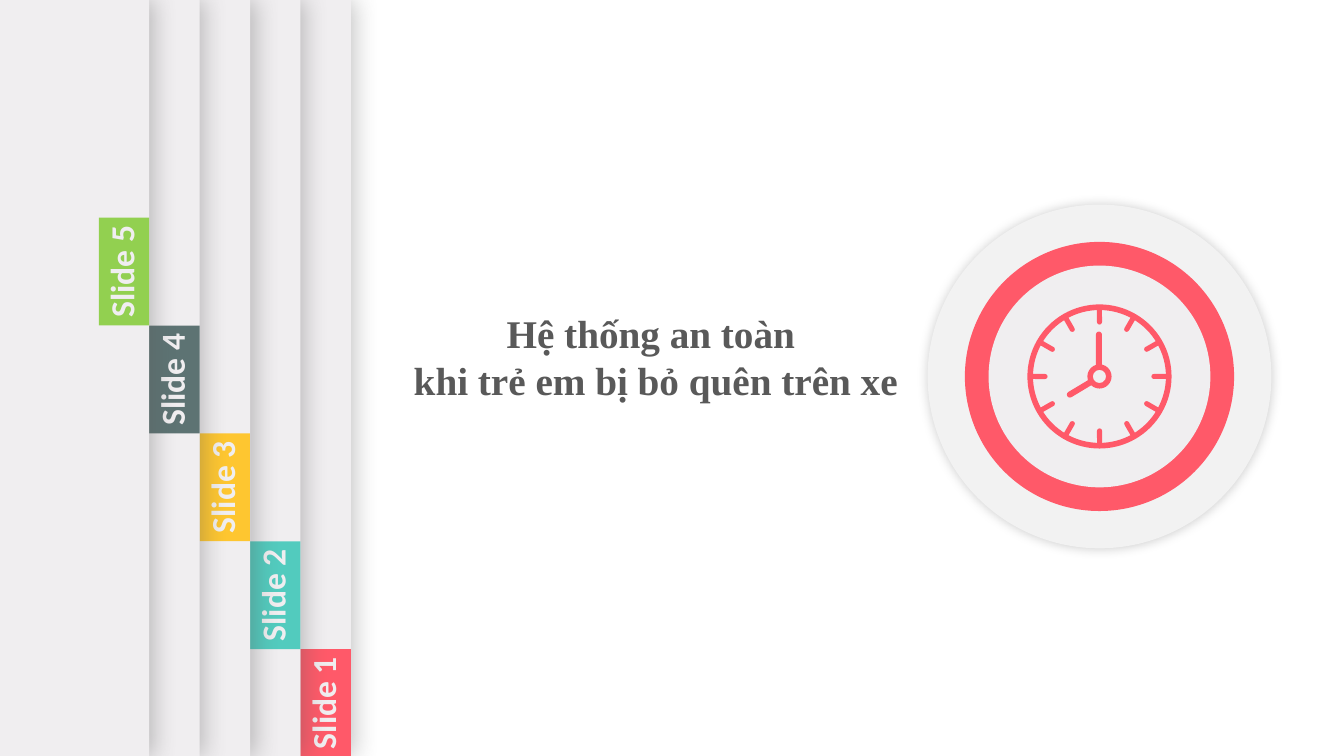
from dataclasses import dataclass
from math import cos, radians, sin

from lxml.etree import SubElement
from pptx import Presentation
from pptx.dml.color import RGBColor
from pptx.enum.shapes import MSO_SHAPE as Shape
from pptx.enum.text import MSO_ANCHOR as Anchor, PP_ALIGN as Align
from pptx.oxml.ns import qn
from pptx.util import Emu, Pt

EMU_PER_PX = 9144  # 100 px to the inch


@dataclass(frozen=True)
class Theme:
    paper: str = "F0EEF0"
    plate: str = "F2F2F2"
    accent: str = "FF5969"
    title: str = "595959"
    title_font: str = "Times New Roman"
    label_font: str = "Calibri"
    title_pt: int = 28
    label_pt: int = 24


@dataclass(frozen=True)
class Box:
    left: float
    top: float
    width: float
    height: float

    def emu(self) -> list[Emu]:
        return [px(v) for v in (self.left, self.top, self.width, self.height)]


@dataclass(frozen=True)
class Shadow:
    color: str
    alpha: int
    blur: int
    distance: int


@dataclass(frozen=True)
class Part:
    kind: Shape
    box: Box
    color: str
    rotation: float = 0
    adjustments: tuple[float, ...] = ()
    shadow: Shadow | None = None


@dataclass(frozen=True)
class Tab:
    label: str
    color: str


THEME = Theme()
PANEL_SHADOW = Shadow("595959", 35, 17, 3)
PLATE_SHADOW = Shadow("000000", 20, 8, 0)

# Side panels, from front tab to back tab
TABS = [
    Tab("Slide 1", THEME.accent),
    Tab("Slide 2", "52CBBE"),
    Tab("Slide 3", "FEC630"),
    Tab("Slide 4", "5D7373"),
    Tab("Slide 5", "92D050"),
]
PANEL_W, PANEL_H = 1365, 750
TAB_W, TAB_H = 50, 107
FIRST_RIGHT, FIRST_TOP = 348, 644

# Clock geometry
CLOCK_X, CLOCK_Y = 1090.5, 373.5
TICK_RADIUS, TICK_W, TICK_H = 60, 5, 17


def px(value: float) -> Emu:
    return Emu(round(value * EMU_PER_PX))


def centred(x: float, y: float, width: float, height: float) -> Box:
    return Box(x - width / 2, y - height / 2, width, height)


def draw(shapes, part: Part) -> None:
    sp = shapes.add_shape(part.kind, *part.box.emu())
    sp.fill.solid()
    sp.fill.fore_color.rgb = RGBColor.from_string(part.color)
    sp.line.fill.background()
    sp.rotation = part.rotation
    for i, value in enumerate(part.adjustments):
        sp.adjustments[i] = value
    sp.shadow.inherit = False
    if part.shadow:
        effects = sp._element.spPr.find(qn("a:effectLst"))
        outer = SubElement(effects, qn("a:outerShdw"), blurRad=str(Pt(part.shadow.blur)),
                           dist=str(Pt(part.shadow.distance)), dir="0",
                           algn="ctr", rotWithShape="0")
        clr = SubElement(outer, qn("a:srgbClr"), val=part.shadow.color)
        SubElement(clr, qn("a:alpha"), val=str(part.shadow.alpha * 1000))


def format_text(tf, font: str, size: int, color: str) -> None:
    tf.word_wrap = True
    for p in tf.paragraphs:
        p.alignment = Align.CENTER
        for r in p.runs:
            r.font.name = font
            r.font.size = Pt(size)
            r.font.bold = True
            r.font.color.rgb = RGBColor.from_string(color)


def add_title(slide) -> None:
    title = slide.shapes.title
    title.left, title.top, title.width, title.height = Box(383, 302, 525, 104).emu()
    tf = title.text_frame
    tf.text = "Hệ thống an toàn\v khi trẻ em bị bỏ quên trên xe"
    tf.vertical_anchor = Anchor.TOP
    format_text(tf, THEME.title_font, THEME.title_pt, THEME.title)


def add_badge(shapes) -> None:
    for size, color, shadow in [(341, THEME.plate, PLATE_SHADOW),
                                (267, THEME.accent, None),
                                (220, THEME.paper, None)]:
        box = centred(CLOCK_X, CLOCK_Y, size, size)
        draw(shapes, Part(Shape.OVAL, box, color, shadow=shadow))


def add_clock(shapes) -> None:
    # Hour ticks
    for angle in range(0, 360, 30):
        x = CLOCK_X + TICK_RADIUS * sin(radians(angle))
        y = CLOCK_Y - TICK_RADIUS * cos(radians(angle))
        draw(shapes, Part(Shape.ROUNDED_RECTANGLE, centred(x, y, TICK_W, TICK_H),
                          THEME.accent, angle, (0.5,)))
    # Rim and hub
    for size, thickness in [(143, 0.039), (24, 0.226)]:
        draw(shapes, Part(Shape.DONUT, centred(CLOCK_X, CLOCK_Y, size, size),
                          THEME.accent, 0, (thickness,)))
    # Hands
    for box, angle in [(Box(1068, 371, 6, 29), 239), (Box(1087, 329, 6, 34), 0)]:
        draw(shapes, Part(Shape.ROUND_2_SAME_RECTANGLE, box, THEME.accent, angle, (0.5, 0)))


def add_panel(shapes, tab: Tab, index: int) -> None:
    right = FIRST_RIGHT - index * TAB_W
    top = FIRST_TOP - index * TAB_H
    draw(shapes, Part(Shape.RECTANGLE, Box(right - PANEL_W, 0, PANEL_W, PANEL_H),
                      THEME.paper, shadow=PANEL_SHADOW))
    draw(shapes, Part(Shape.RECTANGLE, Box(right - TAB_W, top, TAB_W, TAB_H), tab.color))
    label_box = centred(right - TAB_W / 2 - 3, top + TAB_H / 2, 119, 50)
    label = shapes.add_textbox(*label_box.emu())
    label.rotation = 270
    label.text_frame.text = tab.label
    format_text(label.text_frame, THEME.label_font, THEME.label_pt, THEME.paper)


def main() -> None:
    prs = Presentation()
    prs.slide_width, prs.slide_height = px(1333), px(750)
    slide = prs.slides.add_slide(prs.slide_layouts[5])
    add_title(slide)
    add_badge(slide.shapes)
    add_clock(slide.shapes.add_group_shape().shapes)
    for index, tab in enumerate(TABS):
        add_panel(slide.shapes.add_group_shape().shapes, tab, index)
    prs.save("out.pptx")


if __name__ == "__main__":
    main()
